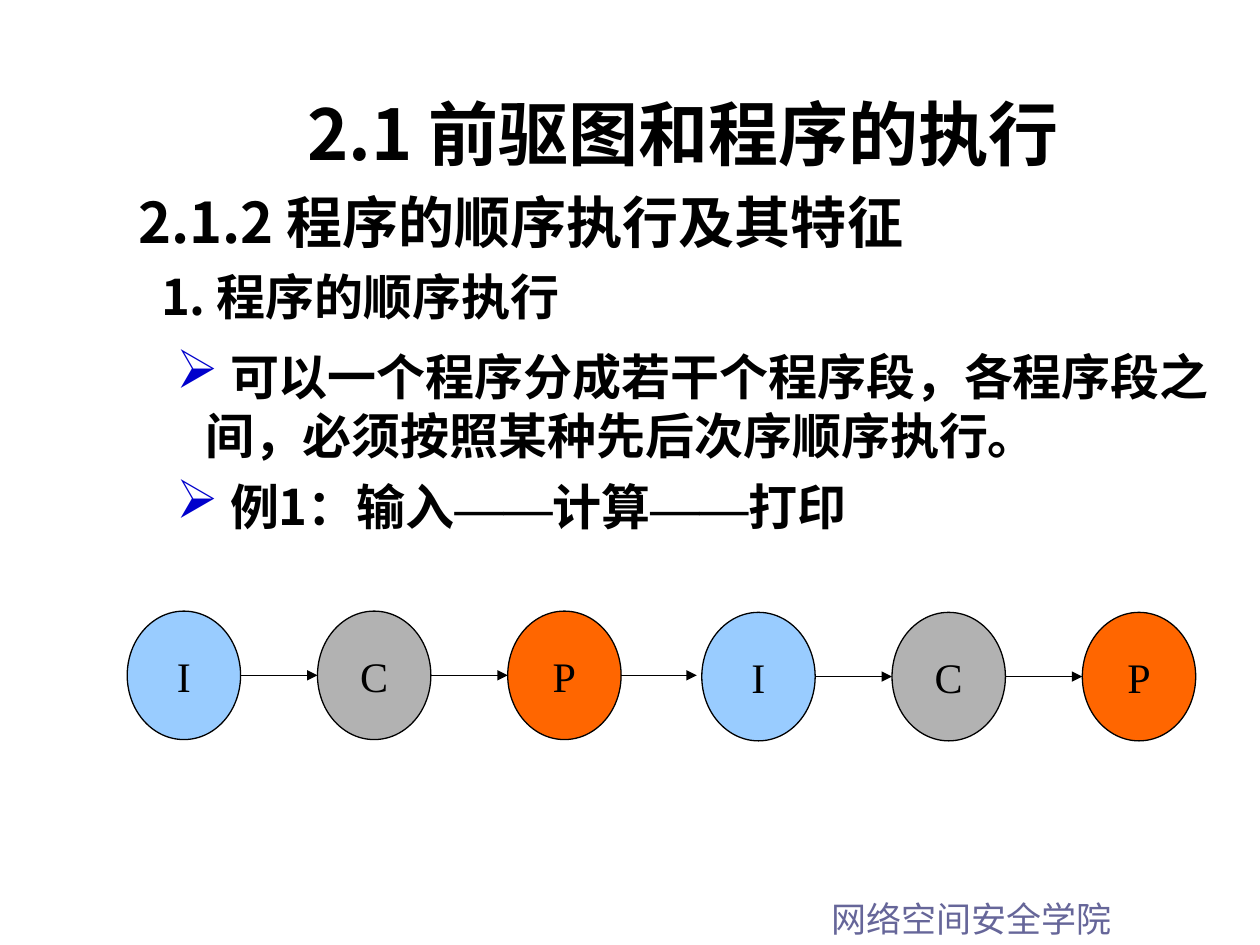
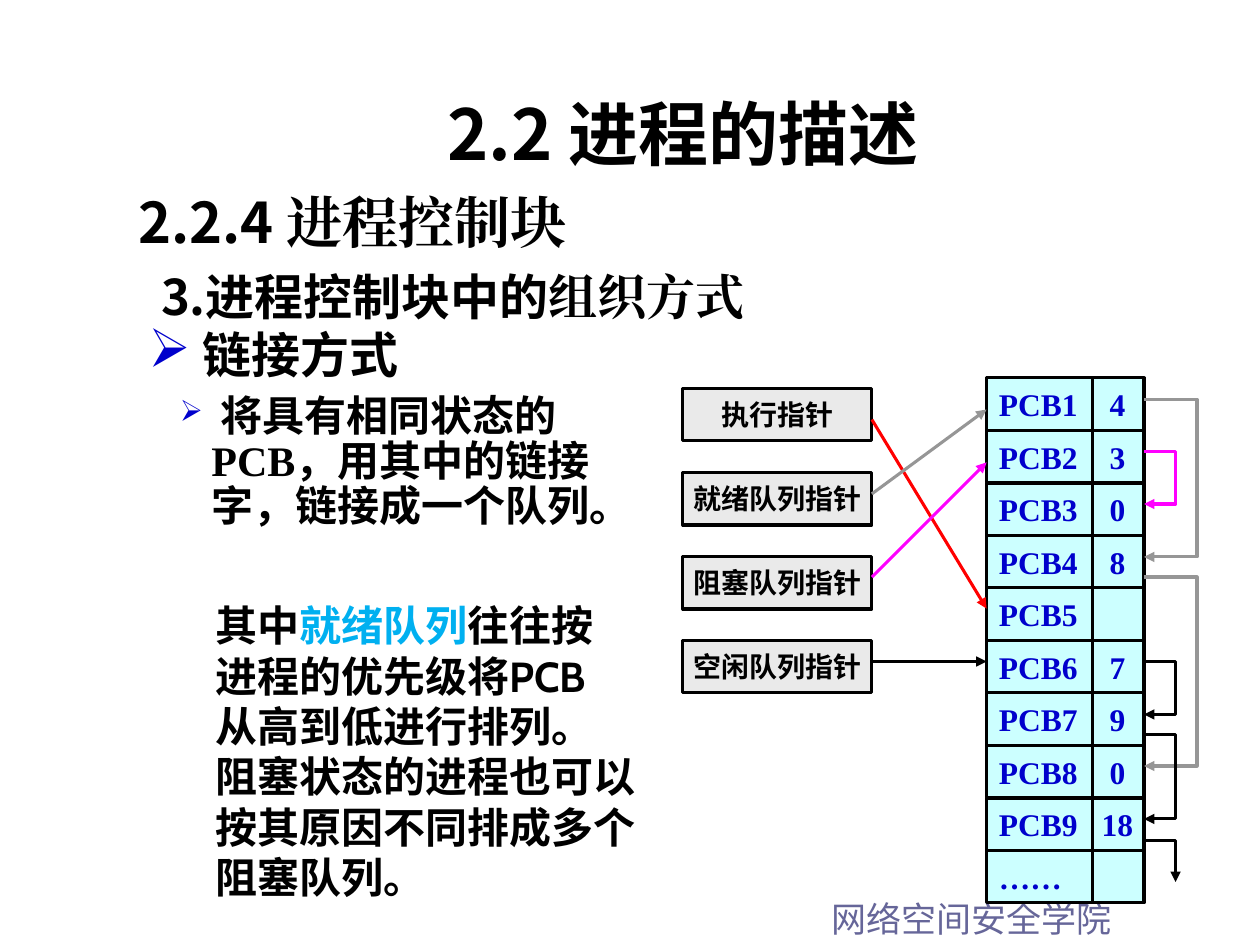
from dataclasses import dataclass

from lxml.etree import SubElement
from pptx import Presentation
from pptx.dml.color import RGBColor
from pptx.enum.shapes import MSO_CONNECTOR, MSO_SHAPE
from pptx.enum.text import MSO_ANCHOR, PP_ALIGN
from pptx.oxml import parse_xml
from pptx.oxml.ns import nsdecls, qn
from pptx.util import Inches, Pt


@dataclass(frozen=True)
class Theme:
    black: str = "000000"
    footer: str = "666699"
    accent: str = "0000CC"
    highlight: str = "00B0F0"
    input: str = "99CCFF"
    compute: str = "B2B2B2"
    print: str = "FF6600"
    pointer: str = "EAEAEA"
    block: str = "CCFFFF"
    running: str = "FF0000"
    ready: str = "969696"
    blocked: str = "FF00FF"
    title_face: str = "Noto Sans CJK JP"
    body_face: str = "Noto Sans CJK SC"
    serif: str = "Times New Roman"
    asian: str = "Cabin"
    title_size: int = 40
    section_size: int = 32
    topic_size: int = 28
    detail_size: int = 24
    footer_size: int = 20
    block_size: int = 18
    pointer_size: int = 16
    thin: float = 0.75
    thick: float = 1.75


THEME = Theme()


def rgb(color):
    return RGBColor.from_string(color)


def write(paragraph, runs, size, face, color=THEME.black, bold=True):
    font = paragraph.font
    font.size, font.bold, font.name = Pt(size), bold, face
    font.color.rgb = rgb(color)
    defaults = paragraph._p.pPr.find(qn("a:defRPr"))
    SubElement(defaults, qn("a:ea")).set("typeface", THEME.asian)
    for part in [runs] if isinstance(runs, str) else runs:
        text, changes = (part, {}) if isinstance(part, str) else part
        run = paragraph.add_run()
        run.text = text
        if "face" in changes:
            run.font.name = changes["face"]
            SubElement(run._r.get_or_add_rPr(), qn("a:ea")).set("typeface", changes["face"])
        if "color" in changes:
            run.font.color.rgb = rgb(changes["color"])


def add_before_defaults(paragraph, xml):
    paragraph._p.pPr.find(qn("a:defRPr")).addprevious(parse_xml(xml))


def indent(paragraph, margin, first=0):
    properties = paragraph._p.get_or_add_pPr()
    properties.set("marL", str(Inches(margin)))
    properties.set("indent", str(Inches(first)))


def bullet(paragraph, percent, margin, hanging, space):
    indent(paragraph, margin, -hanging)
    paragraph.space_before = Pt(space)
    ns = nsdecls("a")
    add_before_defaults(paragraph, f'<a:buClr {ns}><a:srgbClr val="{THEME.accent}"/></a:buClr>')
    add_before_defaults(paragraph, f'<a:buSzPct {ns} val="{percent * 1000}"/>')
    add_before_defaults(paragraph, f'<a:buChar {ns} char="➢"/>')


def text_frame(slide, left, top, width, height, wrap=True):
    frame = slide.shapes.add_textbox(
        Inches(left), Inches(top), Inches(width), Inches(height)).text_frame
    frame.word_wrap = wrap
    return frame


def paragraphs(frame, count):
    return [frame.paragraphs[0]] + [frame.add_paragraph() for _ in range(count - 1)]


def add_slide(deck, title, section, topic):
    slide = deck.slides.add_slide(deck.slide_layouts[6])
    footer = text_frame(slide, 6.5, 7.07, 3.5, 0.44).paragraphs[0]
    write(footer, "网络空间安全学院", THEME.footer_size, THEME.title_face, THEME.footer, False)
    heading = text_frame(slide, 1.42, 0.67, 8, 0.77).paragraphs[0]
    heading.alignment = PP_ALIGN.CENTER
    write(heading, title, THEME.title_size, THEME.title_face)
    section_line, topic_line = paragraphs(text_frame(slide, 1, 1.33, 8.58, 1.3), 2)
    write(section_line, section, THEME.section_size, THEME.body_face)
    write(topic_line, topic, THEME.topic_size, THEME.body_face)
    section_line.line_spacing = topic_line.line_spacing = 1.2
    indent(topic_line, 0.18)
    return slide


def outline(shape, color, width, arrow=False):
    shape.line.color.rgb = rgb(color)
    shape.line.width = Pt(width)
    if arrow:
        SubElement(shape.line._get_or_add_ln(), qn("a:tailEnd")).set("type", "triangle")


def add_node(slide, kind, left, top, width, height, fill, line_width):
    node = slide.shapes.add_shape(
        kind, Inches(left), Inches(top), Inches(width), Inches(height))
    node.shadow.inherit = False
    node.fill.solid()
    node.fill.fore_color.rgb = rgb(fill)
    outline(node, THEME.black, line_width)
    frame = node.text_frame
    frame.vertical_anchor = MSO_ANCHOR.MIDDLE
    frame.margin_left = frame.margin_right = 0
    frame.paragraphs[0].alignment = PP_ALIGN.CENTER
    return node


def add_line(slide, start, end, color, width, arrow=True):
    line = slide.shapes.add_connector(
        MSO_CONNECTOR.STRAIGHT, *(Inches(value) for value in (*start, *end)))
    SubElement(line._element.spPr, qn("a:effectLst"))
    outline(line, color, width, arrow)


def add_link(slide, points, color):
    start, *rest = [(Inches(x), Inches(y)) for x, y in points]
    builder = slide.shapes.build_freeform(*start)
    builder.add_line_segments(rest, close=False)
    link = builder.convert_to_shape()
    link.shadow.inherit = False
    link.fill.background()
    outline(link, color, THEME.thick, True)


def add_job(slide, left, top):
    width, height, pitch = 0.9, 1.02, 1.51
    steps = [("I", THEME.input), ("C", THEME.compute), ("P", THEME.print)]
    for index, (letter, fill) in enumerate(steps):
        x = left + index * pitch
        step = add_node(slide, MSO_SHAPE.OVAL, x, top, width, height, fill, THEME.thin)
        write(step.text_frame.paragraphs[0], letter, THEME.detail_size, THEME.serif, bold=False)
        if index:
            y = top + height / 2
            add_line(slide, (x - pitch + width, y), (x, y), THEME.black, THEME.thin)


def add_pointers(slide):
    for index, name in enumerate(["执行指针", "就绪队列指针", "阻塞队列指针", "空闲队列指针"]):
        pointer = add_node(slide, MSO_SHAPE.RECTANGLE, 5.42, 3.08 + index * 2 / 3,
                           1.5, 0.42, THEME.pointer, THEME.thick)
        write(pointer.text_frame.paragraphs[0], name, THEME.pointer_size, THEME.serif)


def add_control_blocks(slide):
    left, top, width, row = 7.83, 3, 1.25, 5 / 12
    links = ["4", "3", "0", "8", "", "7", "9", "0", "18"]
    labels = [f"PCB{n}\t{link}".rstrip() for n, link in enumerate(links, 1)] + ["……"]
    for index, label in enumerate(labels):
        block = add_node(slide, MSO_SHAPE.RECTANGLE, left, top + index * row,
                         width, row, THEME.block, THEME.thick)
        block.text_frame.margin_left = Inches(0.1)
        line = block.text_frame.paragraphs[0]
        line.alignment = PP_ALIGN.LEFT
        write(line, label, THEME.block_size, THEME.serif, THEME.accent)
        add_before_defaults(line, f'<a:tabLst {nsdecls("a")}>'
                                  f'<a:tab pos="{Inches(0.94)}" algn="ctr"/></a:tabLst>')
    add_line(slide, (8.67, top), (8.67, top + len(labels) * row),
             THEME.black, THEME.thick, False)


def add_queues(slide):
    pointer_right, block_left, block_right = 6.92, 7.83, 9.08
    for start, end, color in [(3.33, 4.83, THEME.running), (3.92, 3.25, THEME.ready),
                              (4.58, 3.67, THEME.blocked), (5.25, 5.25, THEME.black)]:
        add_line(slide, (pointer_right, start), (block_left, end), color, THEME.thick)
    for start, end, reach, color in [(3.17, 4.42, 9.5, THEME.ready),
                                     (3.58, 4, 9.33, THEME.blocked),
                                     (4.58, 6.08, 9.5, THEME.ready),
                                     (5.25, 5.67, 9.33, THEME.black),
                                     (5.83, 6.5, 9.33, THEME.black)]:
        add_link(slide, [(block_right, start), (reach, start),
                         (reach, end), (block_right, end)], color)
    add_link(slide, [(block_right, 6.67), (9.33, 6.67), (9.33, 7)], THEME.black)


def sequence_slide(deck):
    slide = add_slide(deck, "2.1 前驱图和程序的执行",
                      "2.1.2 程序的顺序执行及其特征", "1. 程序的顺序执行")
    dash = ("——", {"face": THEME.serif})
    points = [" 可以一个程序分成若干个程序段，各程序段之间，必须按照某种先后次序顺序执行。",
              [" 例1：输入", dash, "计算", dash, "打印"]]
    frame = text_frame(slide, 1.3, 2.7, 8.5, 1.6)
    for paragraph, point in zip(paragraphs(frame, len(points)), points):
        write(paragraph, point, THEME.topic_size, THEME.body_face)
        bullet(paragraph, 110, 0.23, 0.23, 7)
    add_job(slide, 1.01, 4.85)
    add_line(slide, (4.93, 5.36), (5.53, 5.36), THEME.black, THEME.thin)
    add_job(slide, 5.57, 4.86)


def control_block_slide(deck):
    serif = {"face": THEME.serif}
    slide = add_slide(deck, "2.2 进程的描述", ["2.2.4 ", ("进程控制块", serif)],
                      ["3.进程控制块中的", ("组织方式", serif)])
    method, detail = paragraphs(text_frame(slide, 1.08, 2.58, 3.92, 1.75), 2)
    write(method, " 链接方式", THEME.topic_size, THEME.serif)
    bullet(method, 110, 0.23, 0.23, 7)
    write(detail, " 将具有相同状态的PCB，用其中的链接字，链接成一个队列。",
          THEME.detail_size, THEME.serif)
    bullet(detail, 70, 0.5, 0.25, 6)
    method.line_spacing = detail.line_spacing = 0.9
    add_pointers(slide)
    add_control_blocks(slide)
    add_queues(slide)
    remarks = [["其中", ("就绪队列", {"color": THEME.highlight}), "往往按"],
               "进程的优先级将PCB", "从高到低进行排列。", "阻塞状态的进程也可以",
               "按其原因不同排成多个", "阻塞队列。"]
    frame = text_frame(slide, 1.61, 4.71, 3.53, 2.9, wrap=False)
    for paragraph, remark in zip(paragraphs(frame, len(remarks)), remarks):
        write(paragraph, remark, THEME.detail_size, THEME.asian)


def main():
    deck = Presentation()
    deck.slide_width, deck.slide_height = Inches(10), Inches(7.5)
    sequence_slide(deck)
    control_block_slide(deck)
    deck.save("out.pptx")


if __name__ == "__main__":
    main()
